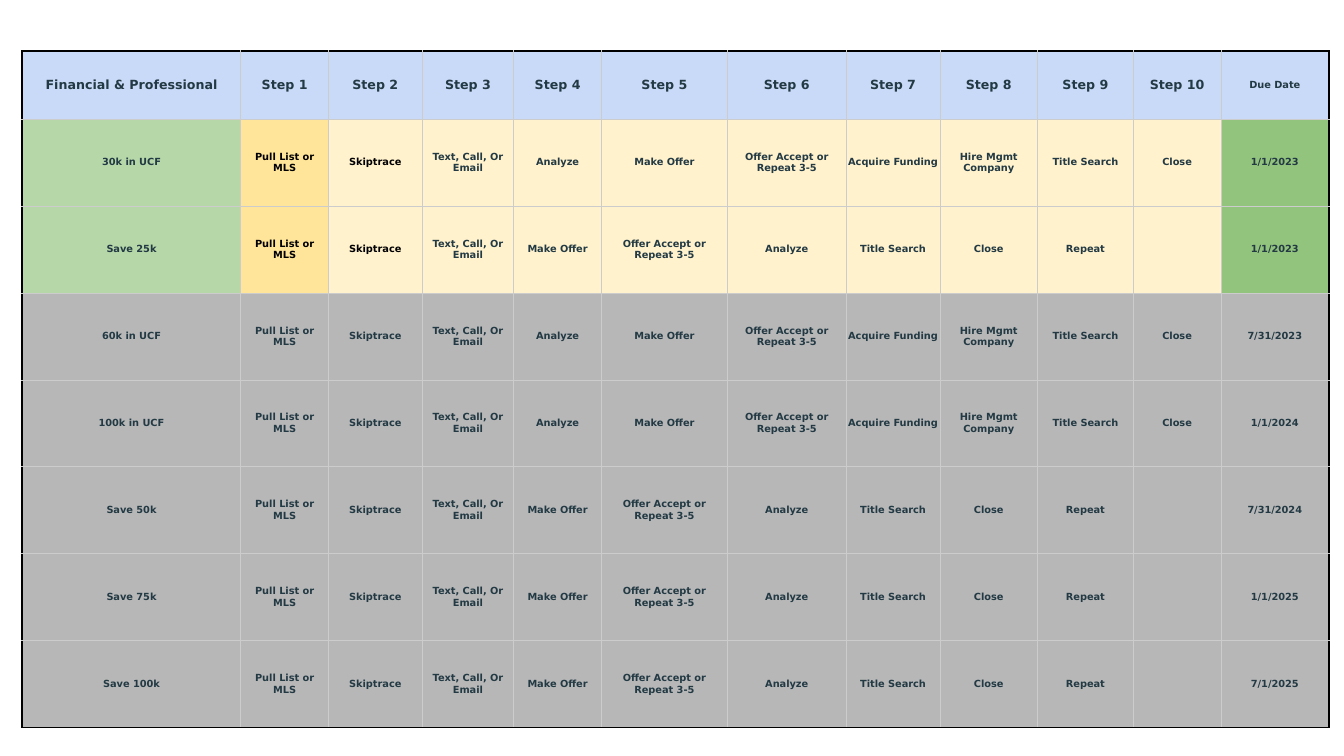
import dataclasses

import lxml.etree
import pptx
import pptx.dml.color
import pptx.enum.text
import pptx.oxml.ns
import pptx.util


@dataclasses.dataclass(frozen=True)
class Theme:
    font: str = "DejaVu Sans"
    heading_size: float = 9
    body_size: float = 7
    ink: str = "233A44"
    strong_ink: str = "000000"
    header: str = "C9DAF8"
    goal: str = "B6D7A8"
    current_step: str = "FFE599"
    open_step: str = "FFF2CC"
    due: str = "93C47D"
    later: str = "B7B7B7"
    grid_line: str = "CCCCCC"
    grid_weight: float = 0.5
    frame_line: str = "000000"
    frame_weight: float = 1.5
    cell_margin: float = 0.001


@dataclasses.dataclass
class CellStyle:
    fill: str
    ink: str
    size: float


class PlanSlide:
    def __init__(self, deck, theme):
        self.theme = theme
        self.width, self.height = deck.slide_width, deck.slide_height
        self.slide = deck.slides.add_slide(deck.slide_layouts[6])

    def table(self, left, top, width, height, column_weights, row_weights, rows, style_for):
        frame = self.slide.shapes.add_table(
            len(rows), len(column_weights),
            int(left * self.width), int(top * self.height),
            int(width * self.width), int(height * self.height),
        )
        table = frame.table
        table.first_row = table.horz_banding = False
        for tracks, weights, extent in (
            (table.columns, column_weights, frame.width),
            (table.rows, row_weights, frame.height),
        ):
            for track, weight in zip(tracks, weights):
                size = int(extent * weight / sum(weights))
                if tracks is table.columns:
                    track.width = size
                else:
                    track.height = size
        last_row, last_column = len(rows) - 1, len(column_weights) - 1
        for row, texts in enumerate(rows):
            for column, text in enumerate(texts):
                cell = table.cell(row, column)
                self.borders(cell, {
                    "lnL": column == 0,
                    "lnR": column == last_column,
                    "lnT": row == 0,
                    "lnB": row == last_row,
                })
                self.cell(cell, text, style_for(row, column))

    def borders(self, cell, framed_sides):
        theme = self.theme
        properties = cell._tc.get_or_add_tcPr()
        for side, framed in framed_sides.items():
            color = theme.frame_line if framed else theme.grid_line
            weight = theme.frame_weight if framed else theme.grid_weight
            line = lxml.etree.SubElement(
                properties, pptx.oxml.ns.qn(f"a:{side}"), w=str(pptx.util.Pt(weight)))
            solid = lxml.etree.SubElement(line, pptx.oxml.ns.qn("a:solidFill"))
            lxml.etree.SubElement(solid, pptx.oxml.ns.qn("a:srgbClr"), val=color)

    def cell(self, cell, text, style):
        cell.fill.solid()
        cell.fill.fore_color.rgb = pptx.dml.color.RGBColor.from_string(style.fill)
        margin = int(self.theme.cell_margin * self.width)
        cell.margin_left = cell.margin_right = margin
        cell.margin_top = cell.margin_bottom = margin
        cell.vertical_anchor = pptx.enum.text.MSO_ANCHOR.MIDDLE
        if not text:
            return
        paragraph = cell.text_frame.paragraphs[0]
        paragraph.alignment = pptx.enum.text.PP_ALIGN.CENTER
        run = paragraph.add_run()
        run.text = text
        run.font.name = self.theme.font
        run.font.size = pptx.util.Pt(style.size)
        run.font.bold = True
        run.font.color.rgb = pptx.dml.color.RGBColor.from_string(style.ink)


THEME = Theme()
OUTREACH = ["Pull List or MLS", "Skiptrace", "Text, Call, Or Email"]
FUNDING_STEPS = OUTREACH + [
    "Analyze", "Make Offer", "Offer Accept or Repeat 3-5", "Acquire Funding",
    "Hire Mgmt Company", "Title Search", "Close",
]
SAVING_STEPS = OUTREACH + [
    "Make Offer", "Offer Accept or Repeat 3-5", "Analyze", "Title Search",
    "Close", "Repeat", "",
]
GOALS = [
    ("30k in UCF", FUNDING_STEPS, "1/1/2023"),
    ("Save 25k", SAVING_STEPS, "1/1/2023"),
    ("60k in UCF", FUNDING_STEPS, "7/31/2023"),
    ("100k in UCF", FUNDING_STEPS, "1/1/2024"),
    ("Save 50k", SAVING_STEPS, "7/31/2024"),
    ("Save 75k", SAVING_STEPS, "1/1/2025"),
    ("Save 100k", SAVING_STEPS, "7/1/2025"),
]
ACTIVE_GOALS = 2
COLUMN_WEIGHTS = [217, 87, 93, 91, 87, 125, 118, 93, 97, 95, 87, 107]
ROW_WEIGHTS = [67] + [86] * len(GOALS)
DUE_COLUMN = len(COLUMN_WEIGHTS) - 1


def plan_style(row, column):
    if row == 0:
        size = THEME.body_size if column == DUE_COLUMN else THEME.heading_size
        return CellStyle(THEME.header, THEME.ink, size)
    if row > ACTIVE_GOALS:
        return CellStyle(THEME.later, THEME.ink, THEME.body_size)
    fills = {0: THEME.goal, 1: THEME.current_step, DUE_COLUMN: THEME.due}
    ink = THEME.strong_ink if column in (1, 2) else THEME.ink
    return CellStyle(fills.get(column, THEME.open_step), ink, THEME.body_size)


def main():
    deck = pptx.Presentation()
    deck.slide_width = pptx.util.Inches(13.33)
    deck.slide_height = pptx.util.Inches(7.5)
    headings = ["Financial & Professional"]
    headings += [f"Step {number}" for number in range(1, DUE_COLUMN)] + ["Due Date"]
    rows = [headings] + [[goal, *steps, due] for goal, steps, due in GOALS]
    plan = PlanSlide(deck, THEME)
    plan.table(0.22 / 13.33, 0.51 / 7.5, 12.96 / 13.33, 6.71 / 7.5,
               COLUMN_WEIGHTS, ROW_WEIGHTS, rows, plan_style)
    deck.save("out.pptx")


if __name__ == "__main__":
    main()
